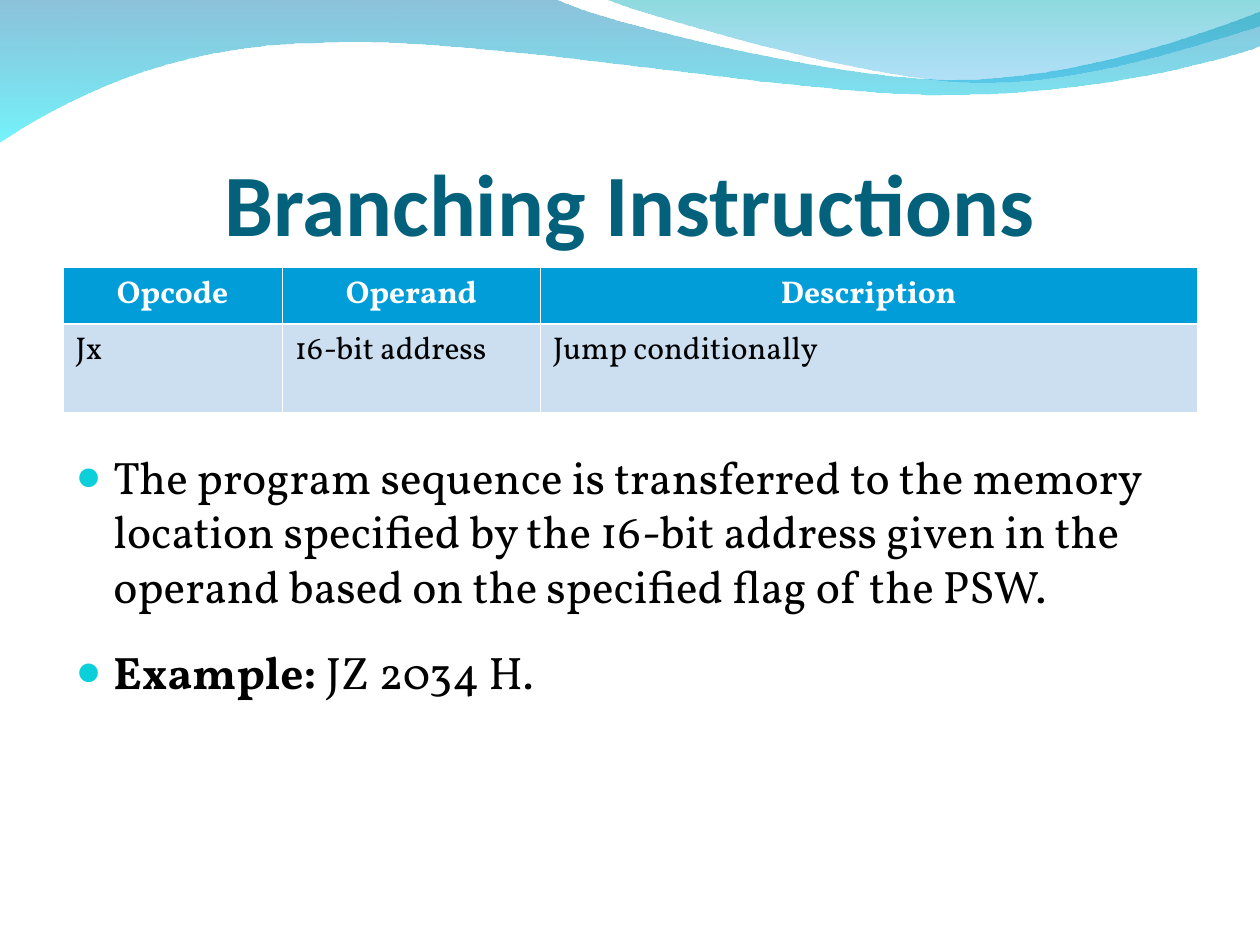
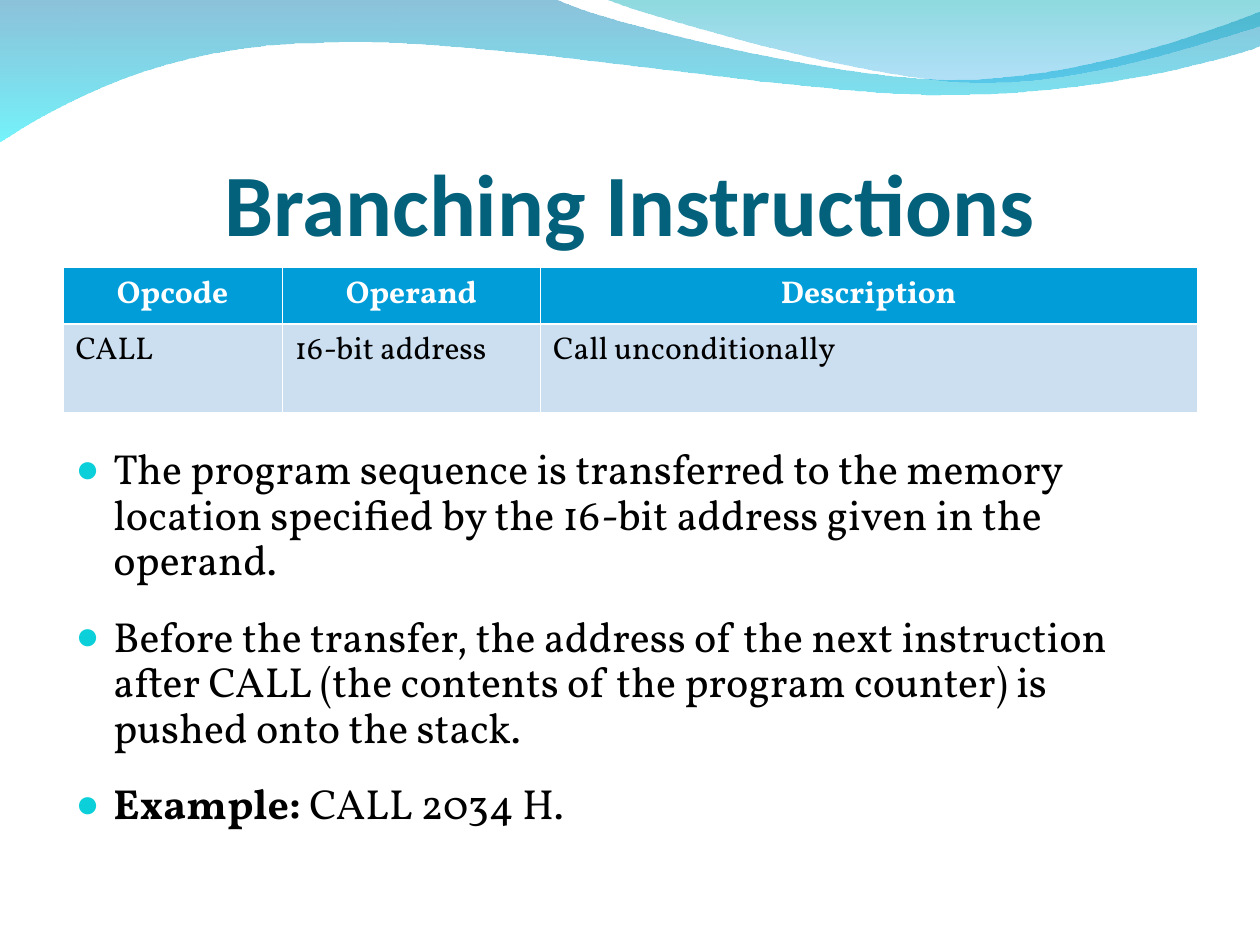
"""Build two slides on branching instructions, with a wave banner on the master."""
from lxml.etree import SubElement
from pptx import Presentation
from pptx.dml.color import RGBColor
from pptx.enum.text import MSO_ANCHOR as Anchor, MSO_AUTO_SIZE as AutoSize, PP_ALIGN as Align
from pptx.oxml import parse_xml
from pptx.oxml.ns import nsdecls, qn
from pptx.util import Inches, Pt

BODY_FONT, TITLE_FONT = "Vollkorn", "Calibri"
WHITE, BLACK, TITLE_TEAL = "FFFFFF", "000000", "04617B"
HEADER_BLUE, ROW_BLUE, BULLET_CYAN = "009DD9", "CBDFF1", "0BD0D9"
THIN, THICK = 0.45, 1.47
HEADINGS = ["Opcode", "Operand", "Description"]
COLUMN_WIDTHS = [1.74, 2.05, 5.21]
ROW_HEIGHTS = [0.41, 0.7]

WAVES = [
    {"points": [(0, -0.01), (4.4, -0.01),
                (4.76, 0.17, 6.64, 0.63, 7.58, 0.63), (8.53, 0.63, 9.58, 0.26, 10, 0.09),
                (10.01, 0.36),
                (9.83, 0.44, 8.7, 0.76, 7.46, 0.75), (6.22, 0.75, 3.82, 0.28, 2.57, 0.34),
                (1.29, 0.35, 0.46, 0.83, -0.01, 1.13), (0, -0.01)],
     "stops": [("0079AF", 45), ("00EBF8", 55)]},
    {"points": [(4.79, -0.01),
                (5.09, 0.11, 6.82, 0.62, 7.69, 0.65), (8.56, 0.69, 9.61, 0.32, 10, 0.21),
                (10, 0), (4.79, -0.01)],
     "stops": [("00ADB6", 45), ("009BE5", 30)]},
]

SLIDES = [
    {"row": ["Jx", "16-bit address", "Jump conditionally"],
     "size": 26, "line_spacing": 1.0, "body_height": 3.4,
     "bullets": [
         [("The program sequence is transferred to the memory location specified by the "
           "16-bit address given in the operand based on the specified flag of the PSW.", False)],
         [("Example:", True), (" JZ 2034 H.", False)]]},
    {"row": ["CALL", "16-bit address", "Call unconditionally"],
     "size": 24, "line_spacing": 0.9, "body_height": 3.31,
     "bullets": [
         [("The program sequence is transferred to the memory location specified by the "
           "16-bit address given in the operand.", False)],
         [("Before the transfer, the address of the next instruction after CALL (the contents "
           "of the program counter) is pushed onto the stack.", False)],
         [("Example:", True), (" CALL 2034 H.", False)]]},
]


def color(hex_code):
    """Return the colour for a hex string."""
    return RGBColor.from_string(hex_code)


def style(font, name, size, hex_code, bold):
    """Set the face, size, colour and weight of a font."""
    font.name, font.size, font.bold = name, Pt(size), bold
    font.color.rgb = color(hex_code)


deck = Presentation()
deck.slide_width, deck.slide_height = Inches(10), Inches(7.5)
layout = deck.slide_layouts[1]
pages = [deck.slides.add_slide(layout) for _ in SLIDES]

for index, wave in enumerate(WAVES):
    start, *segments = wave["points"]
    builder = pages[0].shapes.build_freeform(Inches(start[0]), Inches(start[1]))
    ends = [(Inches(segment[-2]), Inches(segment[-1])) for segment in segments]
    builder.add_line_segments(ends, close=True)
    shape = builder.convert_to_shape()
    shape.name = f"Wave {index + 1}"
    lines = list(shape.element.iter(qn("a:lnTo")))
    for line, segment in zip(lines, segments):
        if len(segment) == 6:
            line.tag = qn("a:cubicBezTo")
            for position in (0, 2):
                handle_x = Inches(segment[position]) - shape.left
                handle_y = Inches(segment[position + 1]) - shape.top
                handle = parse_xml(f'<a:pt {nsdecls("a")} x="{handle_x}" y="{handle_y}"/>')
                line.insert(position // 2, handle)
    shape.shadow.inherit = False
    shape.line.fill.background()
    shape.fill.gradient()
    shape.fill.gradient_angle = 270
    for stop, (hex_code, opacity) in zip(shape.fill.gradient_stops, wave["stops"]):
        stop.color.rgb = color(hex_code)
    for tint, (hex_code, opacity) in zip(shape.element.iter(qn("a:srgbClr")), wave["stops"]):
        SubElement(tint, qn("a:alpha"), val=str(opacity * 1000))
    deck.slide_master.shapes.element.insert(2 + index, shape.element)

for page, content in zip(pages, SLIDES):
    title = page.shapes.title
    title.left, title.top, title.width, title.height = map(Inches, (0.5, 0.77, 9, 1.25))
    frame = title.text_frame
    frame.text = "Branching Instructions"
    frame.auto_size, frame.vertical_anchor = AutoSize.NONE, Anchor.BOTTOM
    frame.margin_left = frame.margin_right = frame.margin_bottom = 0
    frame.margin_top = Inches(0.05)
    frame.paragraphs[0].alignment = Align.CENTER
    style(frame.paragraphs[0].runs[0].font, TITLE_FONT, 50, TITLE_TEAL, True)

    table = page.shapes.add_table(
        2, 3, Inches(0.5), Inches(2.12), Inches(9), Inches(sum(ROW_HEIGHTS))).table
    for column, width in zip(table.columns, COLUMN_WIDTHS):
        column.width = Inches(width)
    for row_index, texts in enumerate([HEADINGS, content["row"]]):
        table.rows[row_index].height = Inches(ROW_HEIGHTS[row_index])
        is_header = row_index == 0
        for column_index, text in enumerate(texts):
            cell = table.cell(row_index, column_index)
            cell.text = text
            cell.fill.solid()
            cell.fill.fore_color.rgb = color(HEADER_BLUE if is_header else ROW_BLUE)
            para = cell.text_frame.paragraphs[0]
            para.alignment = Align.CENTER if is_header else Align.LEFT
            style(para.runs[0].font, BODY_FONT, 18, WHITE if is_header else BLACK, is_header)
            borders = {"lnL": THIN, "lnR": THIN, "lnT": THIN if is_header else THICK,
                       "lnB": THICK if is_header else THIN}
            properties = cell._tc.get_or_add_tcPr()
            for position, (side, width) in enumerate(borders.items()):
                properties.insert(position, parse_xml(
                    f'<a:{side} {nsdecls("a")} w="{Pt(width)}"><a:solidFill>'
                    f'<a:srgbClr val="{WHITE}"/></a:solidFill></a:{side}>'))

    body = page.placeholders[1]
    body.left, body.top, body.width = Inches(0.5), Inches(3.51), Inches(9)
    body.height = Inches(content["body_height"])
    frame = body.text_frame
    frame.auto_size, frame.vertical_anchor = AutoSize.NONE, Anchor.TOP
    for index, spans in enumerate(content["bullets"]):
        para = frame.paragraphs[0] if index == 0 else frame.add_paragraph()
        para.line_spacing = content["line_spacing"]
        para.space_before, para.space_after = Pt(0), Pt(18)
        properties = para._p.get_or_add_pPr()
        properties.set("marL", str(Inches(0.3)))
        properties.set("indent", str(Inches(-0.3)))
        bullet_color = SubElement(properties, qn("a:buClr"))
        SubElement(bullet_color, qn("a:srgbClr"), val=BULLET_CYAN)
        SubElement(properties, qn("a:buSzPct"), val="95000")
        SubElement(properties, qn("a:buChar"), char="●")
        for text, bold in spans:
            span = para.add_run()
            span.text = text
            style(span.font, BODY_FONT, content["size"], BLACK, bold)

deck.save("out.pptx")
